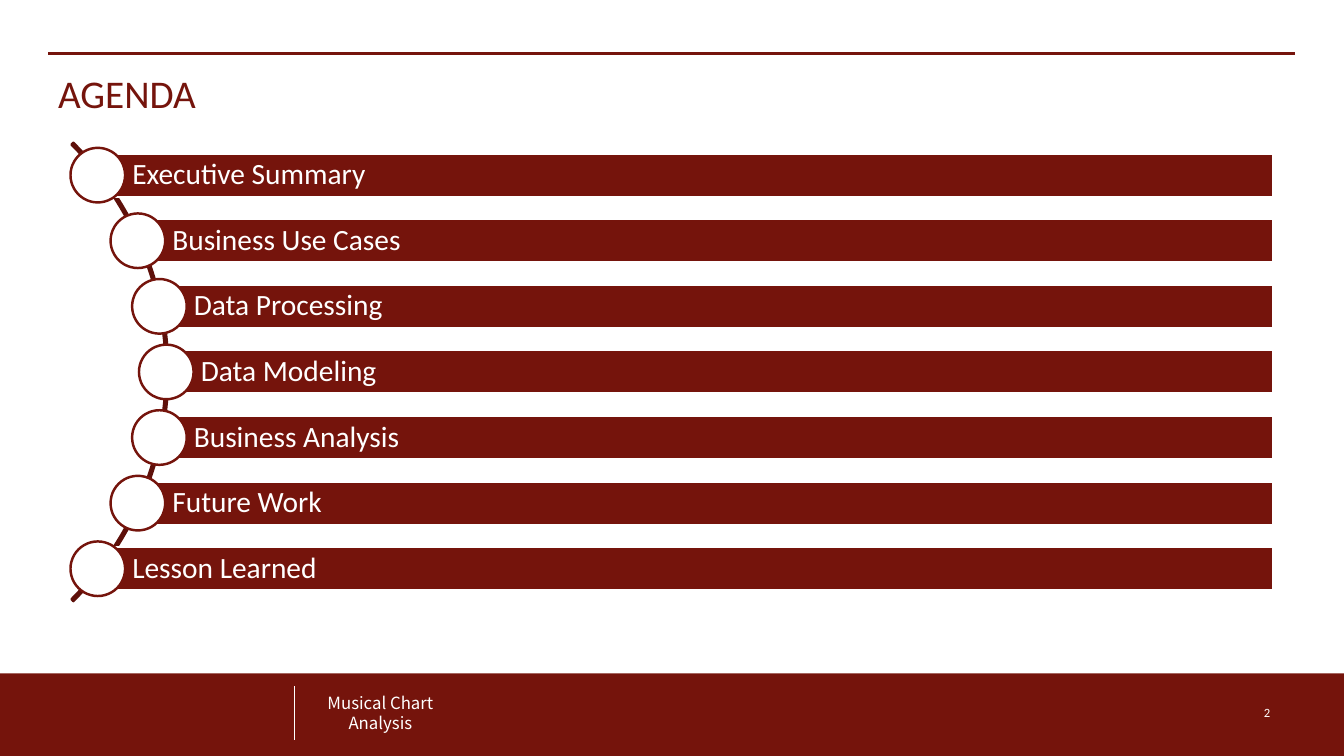
from math import sqrt

from lxml import etree
from pptx import Presentation
from pptx.dml.color import RGBColor
from pptx.enum.shapes import MSO_CONNECTOR as CONN, MSO_SHAPE as SHAPE
from pptx.enum.text import MSO_ANCHOR as ANCHOR, PP_ALIGN as ALIGN
from pptx.oxml.ns import qn
from pptx.util import Pt

RED, DARK_RED, WHITE = "75140C", "5E100A", "FFFFFF"
BODY_FONT, FOOTER_FONT = "Calibri", "Noto Sans CJK KR"
LINE_WIDTH = 1.75
TOPICS = ["Executive Summary", "Business Use Cases", "Data Processing",
          "Data Modeling", "Business Analysis", "Future Work",
          "Lesson Learned"]


def rgb(value):
    return RGBColor.from_string(value)


def add_shape(s, kind, box, fill=None, line=None):
    sp = s.shapes.add_shape(kind, *map(Pt, box))
    sp.shadow.inherit = False
    if fill:
        sp.fill.solid()
        sp.fill.fore_color.rgb = rgb(fill)
    else:
        sp.fill.background()
    if line:
        sp.line.color.rgb = rgb(line)
        sp.line.width = Pt(LINE_WIDTH)
    else:
        sp.line.fill.background()
    return sp


def add_line(s, x1, y1, x2, y2, color, width):
    line = s.shapes.add_connector(CONN.STRAIGHT, Pt(x1), Pt(y1), Pt(x2), Pt(y2))
    line.line.color.rgb = rgb(color)
    line.line.width = Pt(width)
    etree.SubElement(line._element.spPr, qn("a:effectLst"))


def write(sp, lines, size, color, font=BODY_FONT, align=ALIGN.LEFT,
          anchor=ANCHOR.TOP, spacing=None, wrap=True):
    tf = sp.text_frame
    tf.word_wrap = wrap
    tf.vertical_anchor = anchor
    for i, text in enumerate(lines):
        p = tf.add_paragraph() if i else tf.paragraphs[0]
        p.alignment = align
        if spacing:
            p.line_spacing = spacing
        r = p.add_run()
        r.text = text
        r.font.size = Pt(size)
        r.font.name = font
        r.font.color.rgb = rgb(color)
    return tf


def add_text(s, box, lines, size, color, **options):
    return write(s.shapes.add_textbox(*map(Pt, box)), lines, size, color, **options)


def add_footer(s, x, y, w, h):
    add_shape(s, SHAPE.RECTANGLE, (x, y, w, h), RED)
    add_text(s, (x + 226, y + 10, 91.5, 36), ["Musical Chart", "Analysis"],
             12, WHITE, font=FOOTER_FONT, align=ALIGN.CENTER,
             spacing=Pt(14.4), wrap=False)
    add_line(s, x + 210.3, y + 47.5, x + 210.3, y + 9.3, WHITE, 1)
    add_text(s, (x + w - 128.4, y + 13.8, 82.8, 28.8), ["2"], 9, WHITE,
             align=ALIGN.RIGHT, anchor=ANCHOR.MIDDLE)


def add_header(s, x, y, w, h):
    add_line(s, x, y, x + w, y, RED, LINE_WIDTH)
    add_text(s, (x, y + 6.4, w, h - 6.4), ["AGENDA"], 28, RED,
             anchor=ANCHOR.BOTTOM)


def add_agenda(s, x, y, w, h):
    """Bars whose left ends follow a curve bulging into the box."""
    pitch, bar_h, dot = h / len(TOPICS), 31, 39
    middle = y + h / 2

    # Thin arc behind the bars
    size = 463
    arc = add_shape(s, SHAPE.BLOCK_ARC,
                    (x - 393, middle - size / 2, size, size), line=DARK_RED)
    arc.adjustments[0], arc.adjustments[1], arc.adjustments[2] = 189, 27, 0.004

    # One bar and dot per topic, centred on a circle
    radius, center_x = 226.4, x - 157.8
    for i, topic in enumerate(TOPICS):
        dy = (i - (len(TOPICS) - 1) / 2) * pitch
        left = center_x + sqrt(radius ** 2 - dy ** 2)
        cy = middle + dy
        bar = add_shape(s, SHAPE.RECTANGLE,
                        (left, cy - bar_h / 2, x + w - left, bar_h), RED, WHITE)
        tf = write(bar, [topic], 21, WHITE, anchor=ANCHOR.MIDDLE, spacing=0.9)
        tf.margin_left = Pt(24.6)
        tf.margin_right = tf.margin_top = tf.margin_bottom = Pt(4.2)
        add_shape(s, SHAPE.OVAL, (left - dot / 2, cy - dot / 2, dot, dot),
                  WHITE, RED)


def main():
    prs = Presentation()
    prs.slide_width, prs.slide_height = Pt(960), Pt(540)
    s = prs.slides.add_slide(prs.slide_layouts[6])
    add_footer(s, 0, 481, 960, 59)
    add_header(s, 34.4, 38.3, 890.4, 48.1)
    add_agenda(s, 50.2, 101.7, 859.6, 328)
    prs.save("out.pptx")


if __name__ == "__main__":
    main()
